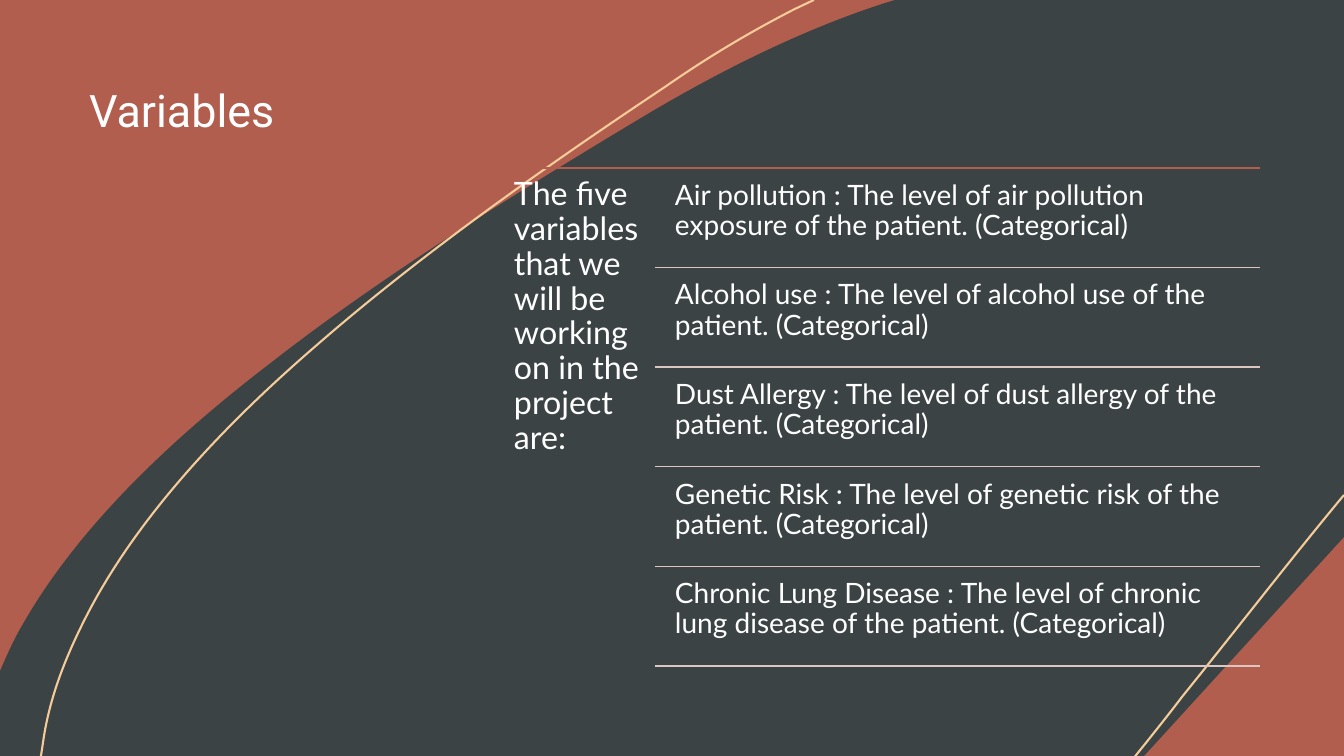
"""Build the Variables slide: curved backdrop, introduction and five ruled definitions."""
from lxml.etree import SubElement
from pptx import Presentation
from pptx.dml.color import RGBColor
from pptx.enum.shapes import MSO_CONNECTOR
from pptx.enum.text import MSO_ANCHOR, MSO_AUTO_SIZE, PP_ALIGN
from pptx.oxml.ns import qn
from pptx.util import Pt

TITLE = "Variables"
INTRODUCTION = "The five variables that we will be working on in the project are:"
VARIABLES = [
    ("Air pollution", "The level of air pollution exposure of the patient."),
    ("Alcohol use", "The level of alcohol use of the patient."),
    ("Dust Allergy", "The level of dust allergy of the patient."),
    ("Genetic Risk", "The level of genetic risk of the patient."),
    ("Chronic Lung Disease", "The level of chronic lung disease of the patient."),
]
COLORS = {"red": "B15E4E", "dark": "3B4345", "gold": "F4CB99", "rule": "DDC5C2", "white": "FFFFFF"}

DARK_FIELD = [
    [(895, 0)], [(1344, 0)], [(1344, 537)], [(1144, 756)], [(0, 756)], [(0, 671)],
    [(7, 655), (14, 639), (23, 624)],
    [(75, 533), (162, 446), (272, 362)],
    [(381, 277), (511, 196), (646, 115)],
    [(732, 64), (809, 28), (882, 4)],
]
LONG_ARC = [
    [(41, 756)], [(43, 743)],
    [(49, 700), (64, 661), (84, 621)],
    [(132, 525), (215, 433), (317, 345)],
    [(418, 257), (539, 171), (665, 87)],
    [(711, 55), (754, 30), (795, 9)], [(814, 0)],
]
CORNER_ARC = [
    [(1344, 495)],
    [(1290, 560), (1237, 629), (1182, 697)],
    [(1167, 717), (1133, 759), (1133, 759)],
]
PIXEL = 914400 / 100.8
LIST_TOP, LIST_BOTTOM, LIST_RIGHT = 168, 666, 1260
INTRODUCTION_LEFT, RULE_LEFT = 504, 655
ROW_PITCH = (LIST_BOTTOM - LIST_TOP) / len(VARIABLES)
TEXT_LEFT, TEXT_OFFSET, TEXT_HEIGHT = 667, 5, 95


def emu(pixels):
    return round(pixels * PIXEL)


def color(name):
    return RGBColor.from_string(COLORS[name])


def bend_segments(shape, segments):
    lines = list(shape.element.iter(qn("a:lnTo")))
    for line, controls in zip(lines, segments[1:]):
        if len(controls) == 1:
            continue
        parent = line.getparent()
        curve = SubElement(parent, qn("a:cubicBezTo"))
        for x, y in controls:
            SubElement(curve, qn("a:pt"), x=str(emu(x) - shape.left), y=str(emu(y) - shape.top))
        parent.replace(line, curve)


def add_outline(slide, segments, fill=None, line=None):
    start, *others = [tuple(map(emu, segment[-1])) for segment in segments]
    builder = slide.shapes.build_freeform(*start)
    builder.add_line_segments(others, close=fill is not None)
    shape = builder.convert_to_shape()
    bend_segments(shape, segments)
    shape.shadow.inherit = False
    if fill:
        shape.fill.solid()
        shape.fill.fore_color.rgb = color(fill)
        shape.line.fill.background()
    else:
        shape.fill.background()
        shape.line.color.rgb = color(line)
        shape.line.width = Pt(1.5)


def add_rule(slide, left, top, line):
    rule = slide.shapes.add_connector(MSO_CONNECTOR.STRAIGHT, emu(left), emu(top), emu(LIST_RIGHT), emu(top))
    rule.line.color.rgb = color(line)
    rule.line.width = Pt(1)
    SubElement(rule.element.spPr, qn("a:effectLst"))


def write_text(shape, text, size, font, inset):
    frame = shape.text_frame
    frame.word_wrap = True
    frame.auto_size = MSO_AUTO_SIZE.NONE
    frame.vertical_anchor = MSO_ANCHOR.TOP
    frame.margin_left = frame.margin_right = frame.margin_top = frame.margin_bottom = emu(inset)
    paragraph = frame.paragraphs[0]
    paragraph.alignment = PP_ALIGN.LEFT
    paragraph.line_spacing = 0.9
    run = paragraph.add_run()
    run.text = text
    run.font.size = Pt(size)
    run.font.name = font
    run.font.color.rgb = color("white")


def add_text(slide, box, text, size, inset):
    write_text(slide.shapes.add_textbox(*map(emu, box)), text, size, "Lato", inset)


presentation = Presentation()
presentation.slide_width, presentation.slide_height = emu(1344), emu(756)
slide = presentation.slides.add_slide(presentation.slide_layouts[5])
slide.background.fill.solid()
slide.background.fill.fore_color.rgb = color("red")

title = slide.shapes.title
title.left, title.top, title.width, title.height = map(emu, (80, 84, 336, 252))
write_text(title, TITLE, 32, "Roboto", 5)
title.text_frame.margin_left = emu(9)

add_outline(slide, DARK_FIELD, fill="dark")
add_outline(slide, LONG_ARC, line="gold")
add_outline(slide, CORNER_ARC, line="gold")

add_rule(slide, INTRODUCTION_LEFT, LIST_TOP, "red")
add_text(slide, (INTRODUCTION_LEFT, LIST_TOP, 151, 504), INTRODUCTION, 23, 10)
for row, (name, meaning) in enumerate(VARIABLES):
    top = LIST_TOP + row * ROW_PITCH
    box = (TEXT_LEFT, top + TEXT_OFFSET, LIST_RIGHT - TEXT_LEFT, TEXT_HEIGHT)
    add_text(slide, box, f"{name} :\u00a0{meaning} (Categorical)", 20, 8)
    add_rule(slide, RULE_LEFT, top + ROW_PITCH, "rule")

presentation.save("out.pptx")
